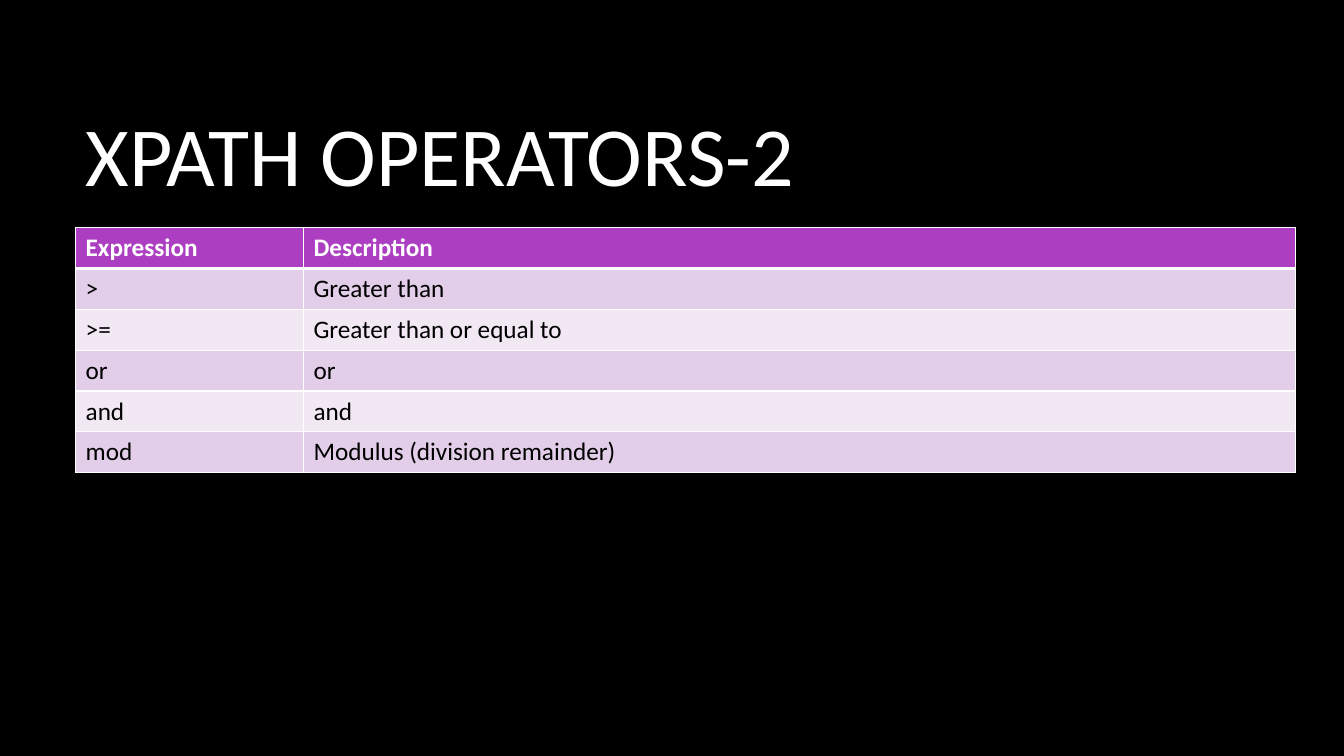
import pptx
import pptx.dml.color
import pptx.enum.text
import pptx.oxml
import pptx.oxml.ns
import pptx.util
from dataclasses import dataclass

Inches = pptx.util.Inches
Pt = pptx.util.Pt
rgb = pptx.dml.color.RGBColor.from_string


@dataclass(frozen=True)
class Theme:
    font: str = "Calibri"
    background: str = "000000"
    light: str = "FFFFFF"
    dark: str = "000000"
    header: str = "AC3EC1"
    bands: tuple = ("E3CEE9", "F1E8F4")
    title_size: int = 60
    table_size: int = 18


theme = Theme()


def style_paragraph(paragraph, size, color, bold=False):
    font = paragraph.font
    font.name = theme.font
    font.size = Pt(size)
    font.bold = bold
    font.color.rgb = rgb(color)


def set_cell_borders(cell, bottom_width):
    """Draw 1 pt borders, with a separate width for the bottom edge."""
    properties = cell._tc.get_or_add_tcPr()
    widths = {"lnL": 1, "lnR": 1, "lnT": 1, "lnB": bottom_width}
    for position, (tag, width) in enumerate(widths.items()):
        border = pptx.oxml.parse_xml(
            f'<a:{tag} {pptx.oxml.ns.nsdecls("a")} w="{Pt(width)}">'
            f'<a:solidFill><a:srgbClr val="{theme.light}"/></a:solidFill></a:{tag}>'
        )
        properties.insert(position, border)


presentation = pptx.Presentation()
presentation.slide_width = Inches(13.33)
presentation.slide_height = Inches(7.5)
slide = presentation.slides.add_slide(presentation.slide_layouts[6])
slide.background.fill.solid()
slide.background.fill.fore_color.rgb = rgb(theme.background)

# Title
title = slide.shapes.add_textbox(Inches(0.75), Inches(0.67), Inches(11.08), Inches(1.59))
title_frame = title.text_frame
title_frame.word_wrap = True
title_frame.vertical_anchor = pptx.enum.text.MSO_ANCHOR.MIDDLE
title_frame.margin_top = Inches(0.16)
title_frame.text = "XPATH OPERATORS-2"
style_paragraph(title_frame.paragraphs[0], theme.title_size, theme.light)

# Operator table
operators = [
    ("Expression", "Description"),
    (">", "Greater than"),
    (">=", "Greater than or equal to"),
    ("or", "or"),
    ("and", "and"),
    ("mod", "Modulus (division remainder)"),
]
column_widths = (2.26, 9.84)
table = slide.shapes.add_table(
    len(operators), len(column_widths),
    Inches(0.75), Inches(2.26), Inches(sum(column_widths)), Inches(2.43),
).table
for column, width in zip(table.columns, column_widths):
    column.width = Inches(width)

for row_index, row in enumerate(operators):
    is_header = row_index == 0
    fill_color = theme.header if is_header else theme.bands[(row_index - 1) % 2]
    text_color = theme.light if is_header else theme.dark
    for column_index, text in enumerate(row):
        cell = table.cell(row_index, column_index)
        cell.text = text
        style_paragraph(cell.text_frame.paragraphs[0], theme.table_size, text_color, is_header)
        cell.fill.solid()
        cell.fill.fore_color.rgb = rgb(fill_color)
        set_cell_borders(cell, 3 if is_header else 1)

presentation.save("out.pptx")
